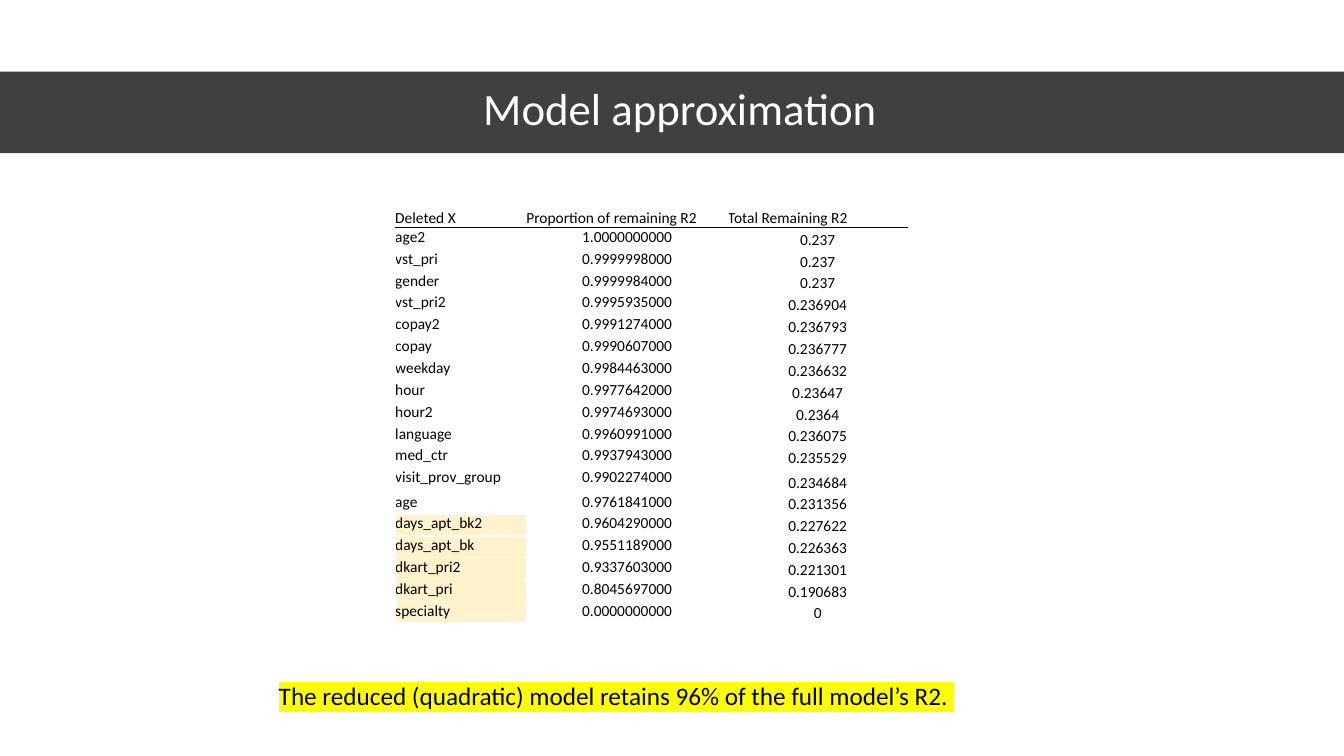
from pptx import Presentation
from pptx.dml.color import RGBColor
from pptx.enum.shapes import MSO_SHAPE
from pptx.enum.text import MSO_ANCHOR, PP_ALIGN
from pptx.oxml.ns import qn
from pptx.util import Inches, Pt
from lxml import etree

RECT = MSO_SHAPE.RECTANGLE
TOP, MIDDLE, BOTTOM = MSO_ANCHOR.TOP, MSO_ANCHOR.MIDDLE, MSO_ANCHOR.BOTTOM
LEFT, CENTER = PP_ALIGN.LEFT, PP_ALIGN.CENTER
BLACK, WHITE, CREAM, YELLOW = "000000", "FFFFFF", "FFF2CC", "FFFF00"
W, H = 13.33, 7.5

HEADER = ("Deleted X", "Proportion of remaining R2", "Total Remaining R2")
ROWS = [
    ("age2", "1.0000000000", "0.237"),
    ("vst_pri", "0.9999998000", "0.237"),
    ("gender", "0.9999984000", "0.237"),
    ("vst_pri2", "0.9995935000", "0.236904"),
    ("copay2", "0.9991274000", "0.236793"),
    ("copay", "0.9990607000", "0.236777"),
    ("weekday", "0.9984463000", "0.236632"),
    ("hour", "0.9977642000", "0.23647"),
    ("hour2", "0.9974693000", "0.2364"),
    ("language", "0.9960991000", "0.236075"),
    ("med_ctr", "0.9937943000", "0.235529"),
    ("visit_prov_group", "0.9902274000", "0.234684"),
    ("age", "0.9761841000", "0.231356"),
    ("days_apt_bk2", "0.9604290000", "0.227622"),
    ("days_apt_bk", "0.9551189000", "0.226363"),
    ("dkart_pri2", "0.9337603000", "0.221301"),
    ("dkart_pri", "0.8045697000", "0.190683"),
    ("specialty", "0.0000000000", "0"),
]
KEPT = 5
COL_SHARES = (1.3 / 5.08, 2 / 5.08, 1.78 / 5.08)
ROW_HEIGHTS = {12: 0.24, 18: 0.21}


def color(hex_code):
    return RGBColor.from_string(hex_code)


def write(tf, text, size=11, fill=BLACK, align=LEFT, spacing=None, highlight=None):
    p = tf.paragraphs[0]
    p.alignment = align
    p.line_spacing = spacing
    r = p.add_run()
    r.text = text
    r.font.size = Pt(size)
    r.font.color.rgb = color(fill)
    if highlight:
        mark = etree.SubElement(r.font._element, qn("a:highlight"))
        etree.SubElement(mark, qn("a:srgbClr"), val=highlight)
    r.font.name = "Calibri"


def add_text(s, box, text, anchor=TOP, **fmt):
    tf = s.shapes.add_textbox(*map(Inches, box)).text_frame
    tf.word_wrap = True
    tf.vertical_anchor = anchor
    write(tf, text, **fmt)


def add_title(s, x, y, w, h):
    band = s.shapes.add_shape(RECT, *map(Inches, (x, y, w, h)))
    band.shadow.inherit = False
    band.fill.solid()
    band.fill.fore_color.rgb = color(BLACK)
    band.line.fill.background()
    shade = band._element.spPr.find(qn("a:solidFill"))[0]
    etree.SubElement(shade, qn("a:alpha"), val="75000")
    add_text(s, (x + 0.046 * w, y - 0.01, 0.92 * w, h), "Model approximation",
             MIDDLE, size=32, fill=WHITE, align=CENTER, spacing=0.9)


def set_borders(cell, **sides):
    tc_pr = cell._tc.get_or_add_tcPr()
    for side in "LRTB":
        ln = etree.SubElement(tc_pr, qn(f"a:ln{side}"), w=str(Pt(1)))
        fill = etree.SubElement(ln, qn("a:solidFill"))
        etree.SubElement(fill, qn("a:srgbClr"), val=sides.get(side, WHITE))


def fill_cell(cell, text, row, col):
    header = row == 0
    cell.margin_left = cell.margin_right = cell.margin_top = cell.margin_bottom = 0
    cell.vertical_anchor = BOTTOM if header or col == 2 else TOP
    write(cell.text_frame, text, align=LEFT if header or col == 0 else CENTER)
    set_borders(cell, T=BLACK if row == 1 else WHITE, B=BLACK if header else WHITE)
    if col == 0 and row > len(ROWS) - KEPT:
        cell.fill.solid()
        cell.fill.fore_color.rgb = color(CREAM)
    else:
        cell.fill.background()


def add_results(s, x, y, w, h):
    data = [HEADER, *ROWS]
    frame = s.shapes.add_table(len(data), len(HEADER), *map(Inches, (x, y, w, h)))
    table = frame.table
    table.first_row = table.horz_banding = False
    for column, share in zip(table.columns, COL_SHARES):
        column.width = Inches(w * share)
    for i, values in enumerate(data):
        table.rows[i].height = Inches(ROW_HEIGHTS.get(i, 0.217))
        for j, text in enumerate(values):
            fill_cell(table.cell(i, j), text, i, j)


def main():
    prs = Presentation()
    prs.slide_width, prs.slide_height = Inches(W), Inches(H)
    s = prs.slides.add_slide(prs.slide_layouts[6])
    add_title(s, 0, 0.71, W, 0.81)
    add_results(s, 3.92, 2.04, 5.08, 4.13)
    add_text(s, (0.2 * W, 6.7, 0.6 * W, 0.4),
             "The reduced (quadratic) model retains 96% of the full model’s R2. ",
             size=18, highlight=YELLOW)
    prs.save("out.pptx")


if __name__ == "__main__":
    main()
